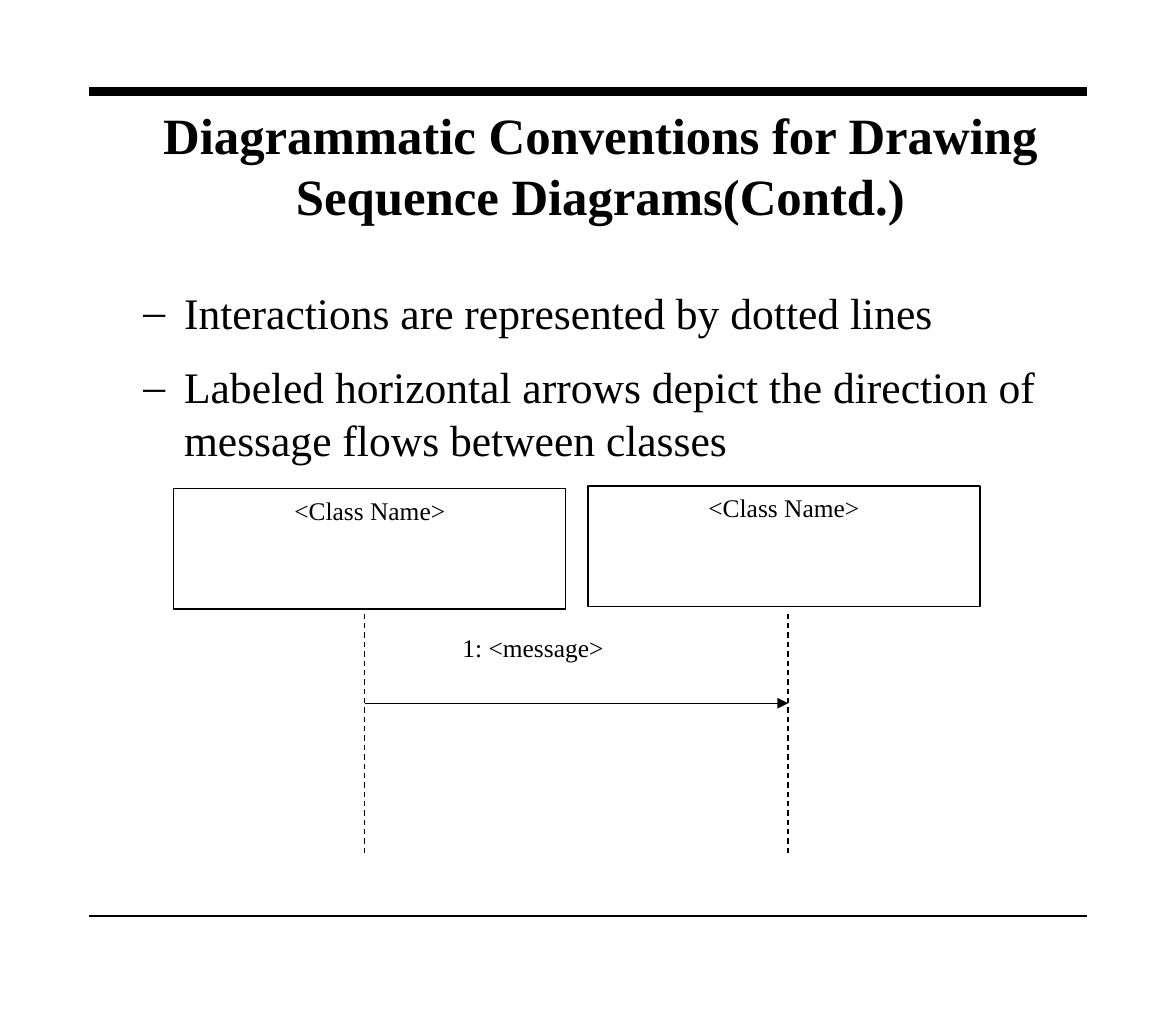
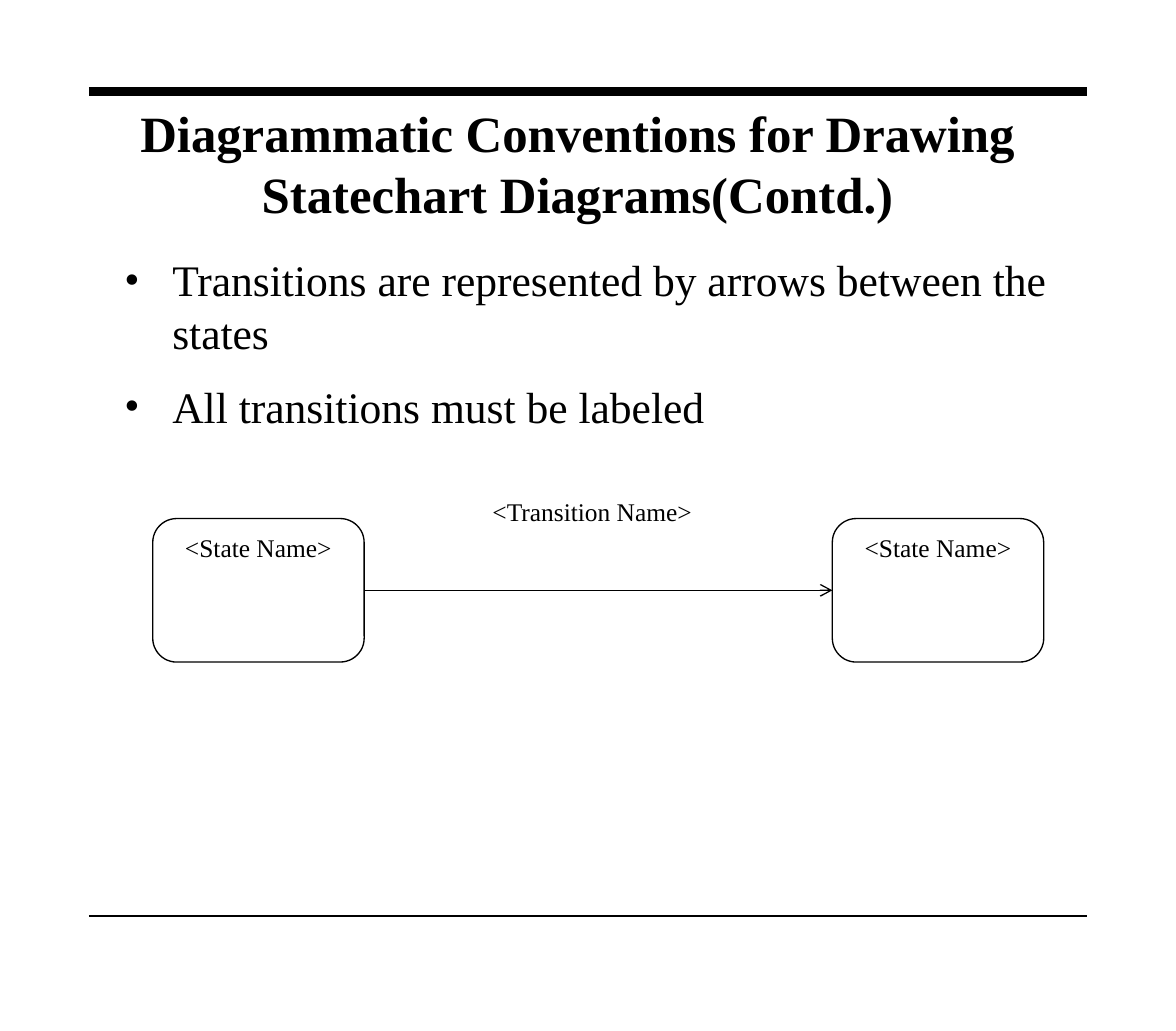
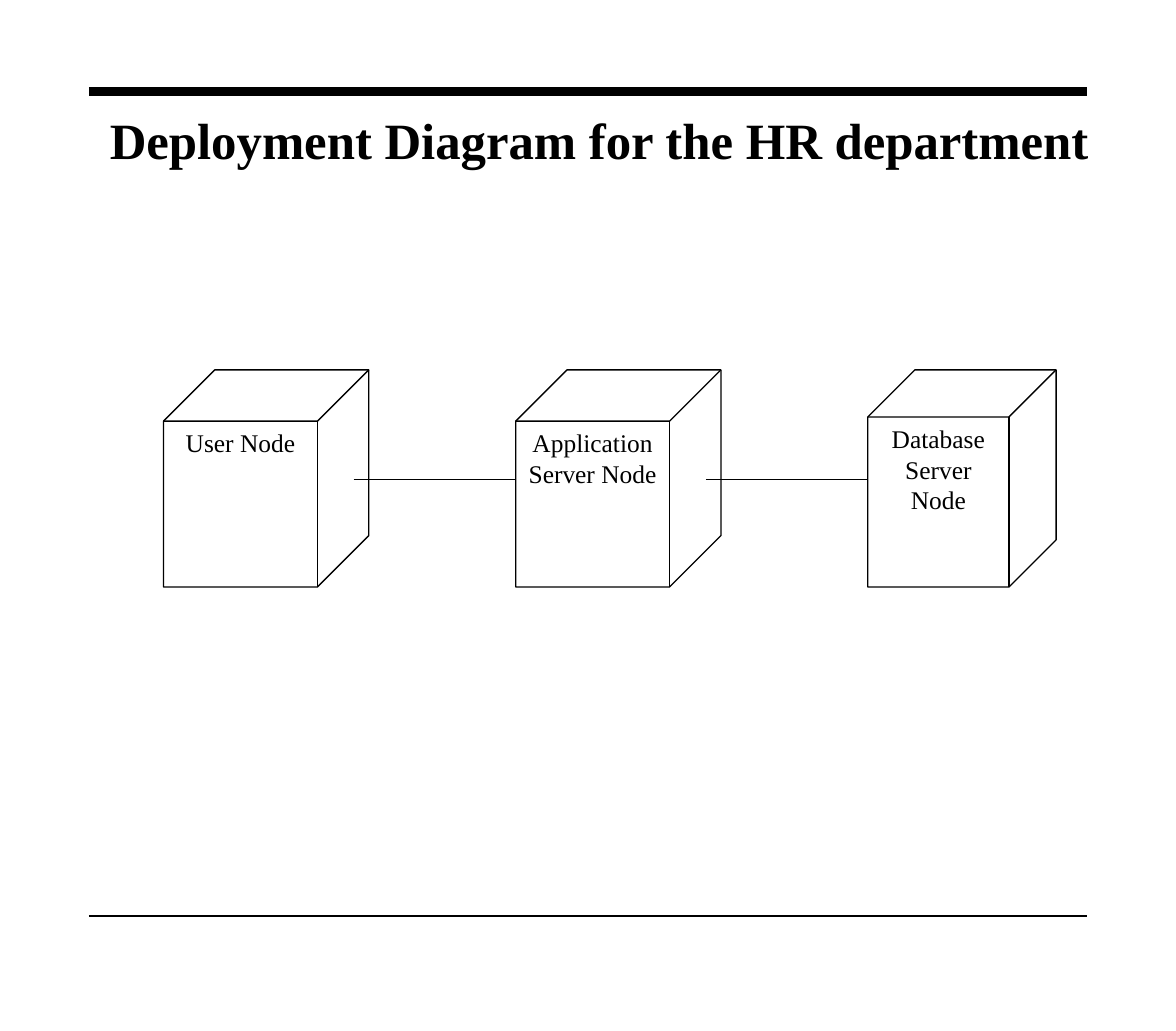
from lxml import etree
from pptx import Presentation
from pptx.dml.color import RGBColor
from pptx.enum.dml import MSO_LINE
from pptx.enum.shapes import MSO_CONNECTOR, MSO_SHAPE
from pptx.enum.text import MSO_ANCHOR, PP_ALIGN
from pptx.oxml.ns import qn
from pptx.util import Cm, Pt

STRAIGHT = MSO_CONNECTOR.STRAIGHT
RECT = MSO_SHAPE.RECTANGLE
ROUND_RECT = MSO_SHAPE.ROUNDED_RECTANGLE
CUBE = MSO_SHAPE.CUBE
DASH = MSO_LINE.DASH
TOP, MIDDLE = MSO_ANCHOR.TOP, MSO_ANCHOR.MIDDLE
LEFT, CENTER = PP_ALIGN.LEFT, PP_ALIGN.CENTER

COLORS = {"ink": "000000", "paper": "FFFFFF"}
FONT = "Times New Roman"
TITLE_SIZE, BODY_SIZE, LABEL_SIZE = 28, 24, 14
THIN = 0.75


def color(name):
    return RGBColor.from_string(COLORS[name])


def write(tf, text, size, align=LEFT, anchor=TOP, bold=False):
    tf.word_wrap = True
    tf.vertical_anchor = anchor
    tf.text = text
    for p in tf.paragraphs:
        p.alignment = align
        for r in p.runs:
            r.font.name = FONT
            r.font.size = Pt(size)
            r.font.bold = bold
            r.font.color.rgb = color("ink")


def add_text(s, box, text, size, **style):
    sp = s.shapes.add_textbox(*map(Cm, box))
    write(sp.text_frame, text, size, **style)
    return sp


def add_node(s, kind, box, text, filled=True):
    sp = s.shapes.add_shape(kind, *map(Cm, box))
    sp.shadow.inherit = False
    if filled:
        sp.fill.solid()
        sp.fill.fore_color.rgb = color("paper")
    else:
        sp.fill.background()
    sp.line.color.rgb = color("ink")
    sp.line.width = Pt(THIN)
    write(sp.text_frame, text, LABEL_SIZE, align=CENTER)
    return sp


def add_line(s, x1, y1, x2, y2, width=THIN, dash=None, arrow=None):
    line = s.shapes.add_connector(STRAIGHT, Cm(x1), Cm(y1), Cm(x2), Cm(y2))
    line.line.color.rgb = color("ink")
    line.line.width = Pt(width)
    if dash:
        line.line.dash_style = dash
    if arrow:
        etree.SubElement(line.line._get_or_add_ln(), qn("a:tailEnd"), type=arrow)
    etree.SubElement(line._element.spPr, qn("a:effectLst"))
    return line


def add_frame(prs, title, title_box):
    s = prs.slides.add_slide(prs.slide_layouts[6])
    for y, width in ((1.78, 4.5), (17.81, 1)):
        add_line(s, 1.73, y, 21.13, y, width)
    add_text(s, title_box, title, TITLE_SIZE, align=CENTER, anchor=MIDDLE, bold=True)
    return s


def add_bullets(s, box, items, char, margin, hanging):
    sp = add_text(s, box, "\n".join(items), BODY_SIZE)
    for i, p in enumerate(sp.text_frame.paragraphs):
        pPr = p._p.get_or_add_pPr()
        pPr.set("marL", str(Cm(margin)))
        pPr.set("indent", str(-Cm(hanging)))
        etree.SubElement(pPr, qn("a:buFont"), typeface=FONT)
        etree.SubElement(pPr, qn("a:buChar"), char=char)
        p.space_before = Pt(6 if i else 0)
        p.space_after = Pt(6)


def add_sequence(s, box):
    x, y, w, h = box
    class_w, class_h = 7.62, 2.34
    for class_x, class_y in ((x, y + 0.05), (x + w - class_w, y)):
        add_node(s, RECT, (class_x, class_y, class_w, class_h), "<Class Name>")
    lifelines = (x + 3.71, x + 11.94)
    for lifeline_x in lifelines:
        add_line(s, lifeline_x, y + 2.48, lifeline_x, y + h, dash=DASH)
    message_y = y + 4.22
    add_line(s, lifelines[0], message_y, lifelines[1], message_y, arrow="triangle")
    add_text(s, (x + 5.36, y + 2.72, 5.03, 1.22), "1: <message>", LABEL_SIZE)


def add_transition(s, box):
    x, y, w, h = box
    state_w, state_h = 4.11, 2.79
    source, target = (
        add_node(s, ROUND_RECT, (state_x, y + h - state_h, state_w, state_h), "<State Name>")
        for state_x in (x, x + w - state_w)
    )
    arrow = add_line(s, x, y, x + w, y, arrow="arrow")
    arrow.begin_connect(source, 3)
    arrow.end_connect(target, 1)
    add_text(s, (x + 5.46, y, 6.17, 1.4), "<Transition Name>", LABEL_SIZE, align=CENTER)


def add_deployment(s, box, nodes):
    x, y, w, h = box
    pitch = (w - nodes[-1][1]) / (len(nodes) - 1)
    link_y = y + 2.13
    for i, (name, node_w) in enumerate(nodes):
        node_x = x + i * pitch
        add_node(s, CUBE, (node_x, y, node_w, h), name, filled=False)
        if i:
            add_line(s, node_x - 3.15, link_y, node_x, link_y)


def build_sequence_slide(prs):
    s = add_frame(
        prs,
        "Diagrammatic Conventions for Drawing\nSequence Diagrams(Contd.)",
        (2.82, 1.96, 17.7, 2.49),
    )
    items = (
        "Interactions are represented by dotted lines",
        "Labeled horizontal arrows depict the direction of message flows between classes",
    )
    add_bullets(s, (1.27, 5.44, 20.19, 11.91), items, "–", 2.06, 0.79)
    add_sequence(s, (3.38, 9.45, 15.67, 7.16))


def build_statechart_slide(prs):
    s = add_frame(
        prs,
        "Diagrammatic Conventions for Drawing Statechart Diagrams(Contd.)",
        (1.7, 2.11, 19.05, 2.11),
    )
    items = (
        "Transitions are represented by arrows between the states",
        "All transitions must be labeled",
    )
    add_bullets(s, (1.9, 4.8, 20.2, 12.34), items, "•", 1.2, 0.93)
    add_transition(s, (2.97, 9.52, 17.32, 3.35))


def build_deployment_slide(prs):
    s = add_frame(
        prs, "Deployment Diagram for the HR department", (1.47, 2.03, 20.35, 1.37)
    )
    nodes = (
        ("User Node", 3.99),
        ("Application Server Node", 3.99),
        ("Database Server Node", 3.66),
    )
    add_deployment(s, (3.18, 7.19, 17.35, 4.22), nodes)


def main():
    prs = Presentation()
    prs.slide_width, prs.slide_height = Cm(22.86), Cm(20.04)
    build_sequence_slide(prs)
    build_statechart_slide(prs)
    build_deployment_slide(prs)
    prs.save("out.pptx")


if __name__ == "__main__":
    main()
